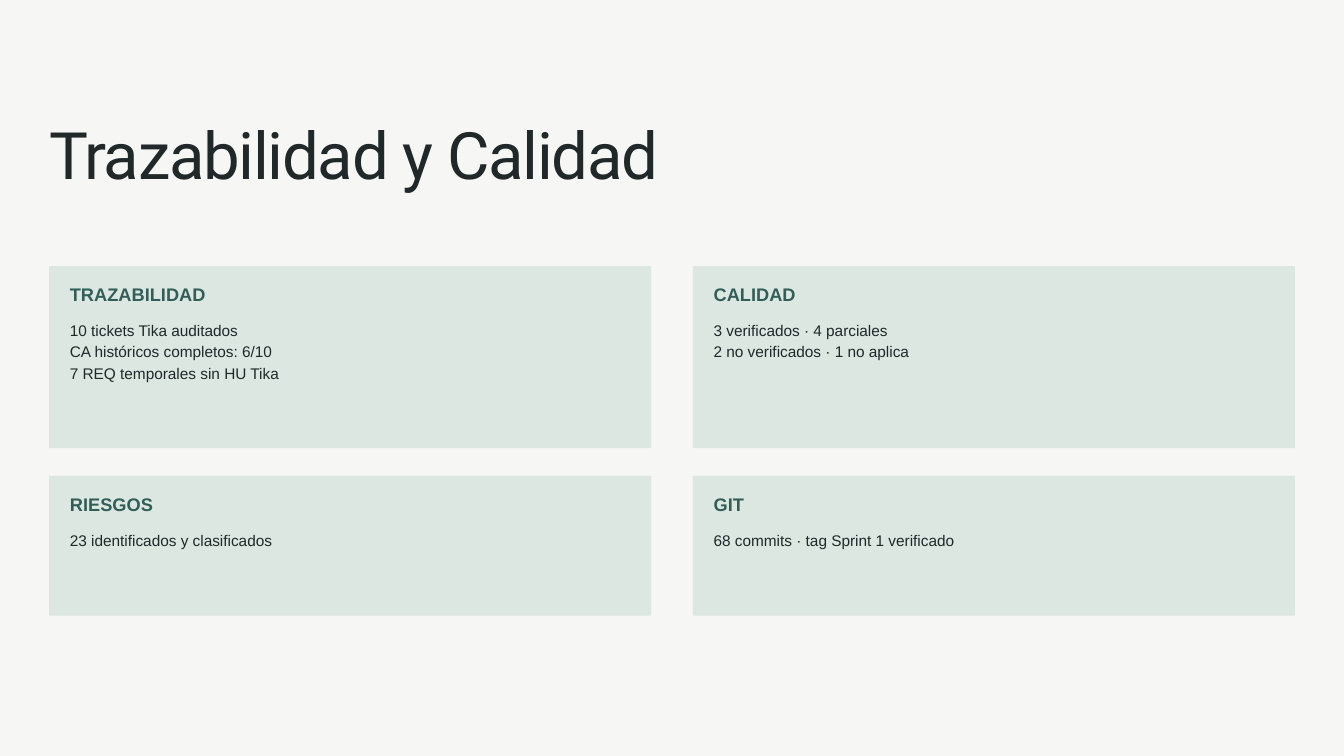
import pptx
import pptx.dml.color
import pptx.enum.shapes
import pptx.util
from pptx.util import Inches

BACKGROUND = pptx.dml.color.RGBColor(0xF6, 0xF7, 0xF4)
CARD = pptx.dml.color.RGBColor(0xDC, 0xE7, 0xE2)
INK = pptx.dml.color.RGBColor(0x20, 0x28, 0x2A)
GREEN = pptx.dml.color.RGBColor(0x31, 0x5E, 0x56)


def add_text(left, top, width, height, lines, font_name, size, spacing, color, bold=False):
    box = slide.shapes.add_textbox(Inches(left), Inches(top), Inches(width), Inches(height))
    frame = box.text_frame
    frame.word_wrap = True
    frame.margin_left = frame.margin_top = frame.margin_right = frame.margin_bottom = 0
    frame.text = "\n".join(lines)
    for paragraph in frame.paragraphs:
        paragraph.line_spacing = pptx.util.Pt(spacing)
        paragraph.font.name = font_name
        paragraph.font.size = pptx.util.Pt(size)
        paragraph.font.bold = bold
        paragraph.font.color.rgb = color
    return frame


presentation = pptx.Presentation()
presentation.slide_width = Inches(20)
presentation.slide_height = Inches(11.25)
slide = presentation.slides.add_slide(presentation.slide_layouts[6])
slide.background.fill.solid()
slide.background.fill.fore_color.rgb = BACKGROUND

title = add_text(0.73, 1.7, 9.1, 2.34, ["Trazabilidad y Calidad"], "Roboto", 70, 84, INK)
title.paragraphs[0].runs[0]._r.get_or_add_rPr().set("spc", "-140")

columns = [0.73, 10.31]
rows = [(3.96, 2.71), (7.08, 2.08)]
cards = [
    [
        ("TRAZABILIDAD", ["10 tickets Tika auditados", "CA históricos completos: 6/10", "7 REQ temporales sin HU Tika"]),
        ("CALIDAD", ["3 verificados · 4 parciales", "2 no verificados · 1 no aplica"]),
    ],
    [
        ("RIESGOS", ["23 identificados y clasificados"]),
        ("GIT", ["68 commits · tag Sprint 1 verificado"]),
    ],
]

for (top, height), row_cards in zip(rows, cards):
    for left, (heading, lines) in zip(columns, row_cards):
        card = slide.shapes.add_shape(
            pptx.enum.shapes.MSO_SHAPE.RECTANGLE,
            Inches(left), Inches(top), Inches(8.96), Inches(height),
        )
        card.shadow.inherit = False
        card.fill.solid()
        card.fill.fore_color.rgb = CARD
        card.line.fill.background()
        add_text(left + 0.31, top + 0.2, 8.33, 0.38, [heading], "Arial", 19.5, 27.3, GREEN, True)
        add_text(left + 0.31, top + 0.77, 8.33, 0.32 * len(lines), lines, "Arial", 16.5, 23.1, INK)

presentation.save("out.pptx")
